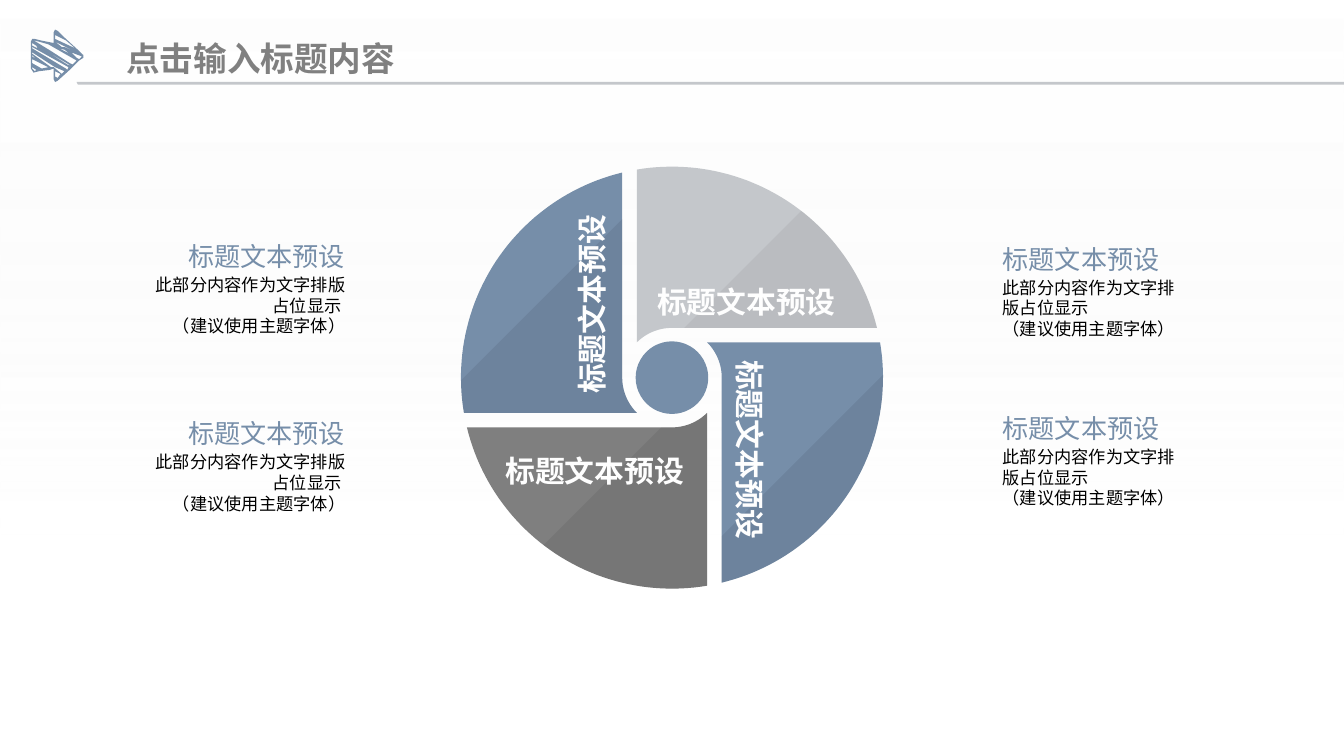
from dataclasses import dataclass
from math import atan2, cos, pi, sin

from lxml.etree import SubElement
from pptx import Presentation
from pptx.dml.color import RGBColor
from pptx.enum.shapes import MSO_SHAPE
from pptx.enum.text import MSO_ANCHOR, PP_ALIGN
from pptx.oxml.ns import qn
from pptx.util import Pt

SCALE = 9144
WIDE = 1000
HUB = (500, 281)
OUTER, INNER = 157, 37

HEAD = "点击输入标题内容"
LABEL = "标题文本预设"
BODY = "此部分内容作为文字排版占位显示 \v（建议使用主题字体）"

ARROW = [
    [(23, 31), (24, 29), (26, 29), (30, 30), (40, 32), (40, 24), (41, 22), (43, 23),
     (47, 27), (59, 38), (62, 41), (62, 43), (59, 45), (53, 51), (43, 60), (41, 61),
     (40, 59), (40, 51), (37, 52), (29, 53), (25, 54), (23, 51)],
    [(53, 39), (57, 43), (59, 44), (61, 42)],
    [(44, 36), (46, 37), (52, 40), (48, 37)],
    [(41, 29), (56, 36), (49, 30), (41, 26)],
    [(41, 31), (46, 35), (48, 35), (57, 39)],
    [(41, 53), (41, 57), (43, 58), (45, 55)],
    [(36, 39), (50, 48), (53, 49), (38, 40)],
    [(25, 30), (38, 38), (52, 47), (54, 48), (57, 45), (36, 33), (29, 31)],
    [(24, 32), (24, 34), (28, 36), (27, 34)],
    [(24, 36), (49, 51), (50, 52), (51, 50), (42, 45), (24, 35)],
    [(24, 39), (24, 40), (38, 50), (40, 50), (46, 55), (48, 53), (41, 50)],
    [(24, 41), (24, 42), (27, 44)],
    [(24, 44), (24, 47), (31, 51), (36, 50)],
    [(24, 50), (24, 51), (26, 53), (27, 52)],
]


@dataclass(frozen=True)
class Theme:
    font: str = "Noto Sans CJK SC"
    blue: str = "768EA9"
    dark: str = "7F7F7F"
    light: str = "C4C7CB"
    head: str = "808080"
    label: str = "FEFEFE"
    black: str = "000000"
    white: str = "FFFFFF"
    mist: str = "F2F2F2"
    big: float = 18
    mid: float = 16
    sub: float = 14
    small: float = 9.2


def arc(radius, start, end, steps=48):
    turns = [start + (end - start) * i / steps for i in range(steps + 1)]
    return [(radius * cos(t), radius * sin(t)) for t in turns]


def blade():
    rim = -(OUTER**2 - INNER**2) ** 0.5
    side = INNER / 2**0.5
    foot = -(OUTER**2 - side**2) ** 0.5
    start = atan2(rim, -INNER)
    end = atan2(side, foot) - 2 * pi
    return arc(OUTER, start, end) + arc(INNER, pi * 3 / 4, pi)


def spin(points, turns):
    for _ in range(turns):
        points = [(-y, x) for x, y in points]
    return points


def clip(points, limit):
    kept = []
    for (ax, ay), (bx, by) in zip(points, points[1:] + points[:1]):
        a, b = ax + ay - limit, bx + by - limit
        if a >= 0:
            kept.append((ax, ay))
        if a * b < 0:
            part = a / (a - b)
            kept.append((ax + (bx - ax) * part, ay + (by - ay) * part))
    return kept


def place(points):
    return [(HUB[0] + x, HUB[1] + y) for x, y in points]


class Deck:
    def __init__(self, theme):
        self.theme = theme
        self.file = Presentation()
        self.file.slide_width = WIDE * SCALE
        self.file.slide_height = WIDE * SCALE * 9 // 16
        self.slide = self.file.slides.add_slide(self.file.slide_layouts[6])

    def box(self, *sides):
        return [side * SCALE for side in sides]

    def fade(self, color, alpha):
        SubElement(color, qn("a:alpha"), val=str(alpha * 1000))

    def paint(self, shape, color, alpha=100):
        shape.shadow.inherit = False
        shape.line.fill.background()
        shape.fill.solid()
        shape.fill.fore_color.rgb = RGBColor.from_string(color)
        if alpha < 100:
            self.fade(shape.fill._xPr.find(".//" + qn("a:srgbClr")), alpha)

    def wash(self, stops):
        shape = self.slide.shapes.add_shape(
            MSO_SHAPE.RECTANGLE, 0, 0, self.file.slide_width, self.file.slide_height)
        shape.shadow.inherit = False
        shape.line.fill.background()
        shape.fill.gradient()
        shape.fill.gradient_angle = 270
        for stop, (spot, color, alpha) in zip(shape.fill.gradient_stops, stops):
            stop.position = spot
            stop.color.rgb = RGBColor.from_string(color)
        colors = shape.fill._xPr.findall(".//" + qn("a:srgbClr"))
        for node, (spot, color, alpha) in zip(colors, stops):
            self.fade(node, alpha)

    def form(self, loops, color, alpha=100):
        loops = [[self.box(*point) for point in loop] for loop in loops]
        pen = self.slide.shapes.build_freeform(*loops[0][0], scale=1.0)
        pen.add_line_segments(loops[0][1:], close=True)
        for loop in loops[1:]:
            pen.move_to(*loop[0])
            pen.add_line_segments(loop[1:], close=True)
        self.paint(pen.convert_to_shape(), color, alpha)

    def disc(self, left, top, size, color):
        shape = self.slide.shapes.add_shape(MSO_SHAPE.OVAL, *self.box(left, top, size, size))
        self.paint(shape, color)

    def text(self, words, place, size, color, bold=False, wrap=False,
             pads=(0, 0, 0, 0), align=PP_ALIGN.LEFT, turn=0):
        shape = self.slide.shapes.add_textbox(*self.box(*place))
        shape.rotation = turn
        frame = shape.text_frame
        frame.text = words
        frame.word_wrap = wrap
        frame.vertical_anchor = MSO_ANCHOR.MIDDLE
        (frame.margin_left, frame.margin_top,
         frame.margin_right, frame.margin_bottom) = self.box(*pads)
        for line in frame.paragraphs:
            line.alignment = align
            for run in line.runs:
                run.font.size = Pt(size)
                run.font.bold = bold
                run.font.color.rgb = RGBColor.from_string(color)
                run.font.name = self.theme.font
                SubElement(run.font._rPr, qn("a:ea"), typeface=self.theme.font)

    def note(self, left, top, width, pads, align):
        look = self.theme
        self.text(LABEL, (left, top, width, 25), look.sub, look.blue, pads=pads, align=align)
        self.text(BODY, (left, top + 26, width, 46), look.small, look.black,
                  wrap=True, pads=pads, align=align)


def main():
    look = Theme()
    deck = Deck(look)
    deck.wash([(0, look.white, 55), (0.71, look.mist, 0)])
    deck.form([[(57, 61), (WIDE, 61), (WIDE, 63), (58, 63)]], look.light)
    deck.form(ARROW, look.blue)

    blades = [(look.blue, -155, 7), (look.light, -28, 5),
              (look.blue, 155, 7), (look.dark, 29, 7)]
    for turns, (color, limit, alpha) in enumerate(blades):
        shape = spin(blade(), turns)
        deck.form([place(shape)], color)
        deck.form([place(clip(shape, limit))], look.black, alpha)
    deck.disc(HUB[0] - 27, HUB[1] - 27, 54, look.blue)

    labels = [(487, 207, 0), (490, 317, 90), (374, 333, 0), (372, 209, 270)]
    for left, top, turn in labels:
        deck.text(LABEL, (left, top, 137, 35), look.mid, look.label, bold=True,
                  pads=(2, 0, 2, 0), turn=turn)

    for top in (178, 310):
        deck.note(105, top, 191, (0, 0, 39, 0), PP_ALIGN.RIGHT)
    for top in (180, 306):
        deck.note(707, top, 176, (39, 0, 0, 0), PP_ALIGN.LEFT)

    deck.text(HEAD, (94, 22, 233, 42), look.big, look.head, bold=True,
              wrap=True, pads=(0, 5, 0, 5))
    deck.file.save("out.pptx")


if __name__ == "__main__":
    main()
